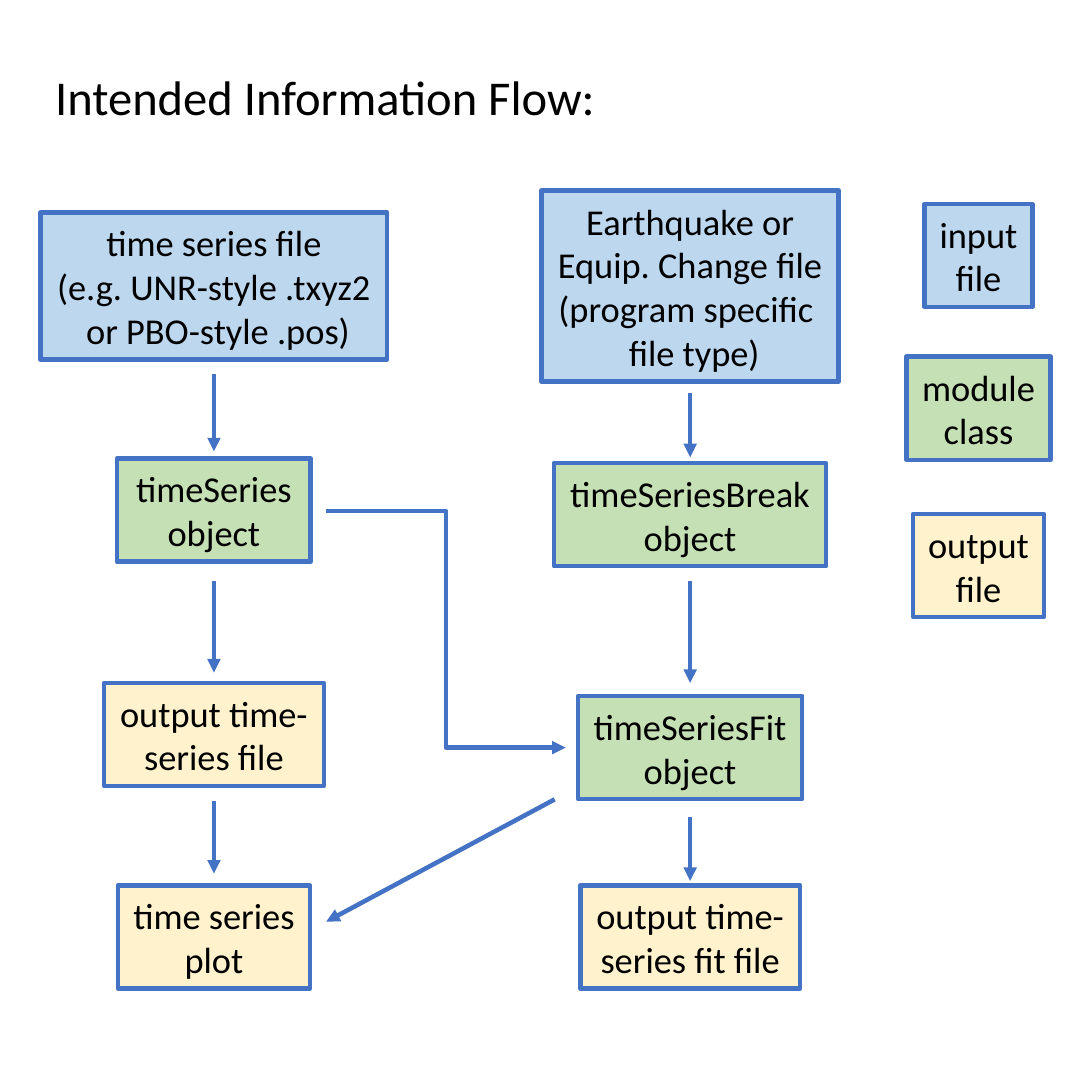
from lxml import etree
from pptx import Presentation
from pptx.dml.color import RGBColor
from pptx.enum.shapes import MSO_CONNECTOR, MSO_SHAPE
from pptx.enum.text import MSO_AUTO_SIZE, PP_ALIGN
from pptx.oxml.ns import qn
from pptx.util import Pt

RECT = MSO_SHAPE.RECTANGLE
STRAIGHT = MSO_CONNECTOR.STRAIGHT
ELBOW = MSO_CONNECTOR.ELBOW
CENTER = PP_ALIGN.CENTER
LEFT = PP_ALIGN.LEFT
FIT = MSO_AUTO_SIZE.SHAPE_TO_FIT_TEXT

BLACK = RGBColor(0x00, 0x00, 0x00)
BLUE = RGBColor(0x44, 0x72, 0xC4)
INPUT = RGBColor(0xBD, 0xD7, 0xEE)
MODULE = RGBColor(0xC5, 0xE0, 0xB4)
OUTPUT = RGBColor(0xFF, 0xF2, 0xCC)

SERIES_X, FIT_X, LEGEND_X = 105.8, 341.3, 483.9

BOXES = [
    (SERIES_X, 105.1, 171.4, INPUT,
     ["time series file", "(e.g. UNR-style .txyz2", " or PBO-style .pos)"]),
    (SERIES_X, 226.8, 95.8, MODULE, ["timeSeries", "object"]),
    (SERIES_X, 337.7, 108.7, OUTPUT, ["output time-", "series file"]),
    (SERIES_X, 437.8, 95, OUTPUT, ["time series", "plot"]),
    (FIT_X, 94.3, 146.9, INPUT,
     ["Earthquake or", "Equip. Change file", "(program specific ", " file type)"]),
    (FIT_X, 229, 134.6, MODULE, ["timeSeriesBreak", "object"]),
    (FIT_X, 344.2, 110.9, MODULE, ["timeSeriesFit", "object"]),
    (FIT_X, 437.8, 108.7, OUTPUT, ["output time-", "series fit file"]),
    (LEGEND_X, 100.8, 53.3, INPUT, ["input", "file"]),
    (LEGEND_X, 176.4, 71.3, MODULE, ["module", "class"]),
    (LEGEND_X, 254.2, 64.8, OUTPUT, ["output", "file"]),
]

DOWN_ARROWS = [
    (SERIES_X, 185, 223.2),
    (SERIES_X, 287.3, 332.6),
    (SERIES_X, 396, 432),
    (FIT_X, 194.4, 226.1),
    (FIT_X, 287.3, 337.7),
    (FIT_X, 403.9, 435.6),
]


class FlowSlide:
    font = "Calibri"
    line_width = 2.25
    text_size = 18
    title_size = 24
    line_height = 21.7
    box_padding = 7.6

    def __init__(self, prs):
        self.shapes = prs.slides.add_slide(prs.slide_layouts[6]).shapes

    def outline(self, sp):
        sp.line.color.rgb = BLUE
        sp.line.width = Pt(self.line_width)

    def add_text(self, sp, lines, size, align):
        tf = sp.text_frame
        tf.word_wrap = False
        tf.auto_size = FIT
        for i, text in enumerate(lines):
            p = tf.add_paragraph() if i else tf.paragraphs[0]
            p.alignment = align
            r = p.add_run()
            r.text = text
            r.font.name = self.font
            r.font.size = Pt(size)
            r.font.color.rgb = BLACK

    def title(self, text, x, y, w, h):
        sp = self.shapes.add_textbox(Pt(x), Pt(y), Pt(w), Pt(h))
        self.add_text(sp, [text], self.title_size, LEFT)

    def box(self, center, top, width, fill, lines):
        height = self.box_padding + self.line_height * len(lines)
        sp = self.shapes.add_shape(
            RECT, Pt(center - width / 2), Pt(top), Pt(width), Pt(height))
        sp.shadow.inherit = False
        sp.fill.solid()
        sp.fill.fore_color.rgb = fill
        self.outline(sp)
        self.add_text(sp, lines, self.text_size, CENTER)

    def arrow(self, x1, y1, x2, y2, kind=STRAIGHT):
        sp = self.shapes.add_connector(kind, Pt(x1), Pt(y1), Pt(x2), Pt(y2))
        self.outline(sp)
        props = sp.element.spPr
        etree.SubElement(props.find(qn("a:ln")), qn("a:tailEnd"), type="triangle")
        etree.SubElement(props, qn("a:effectLst"))


def main():
    prs = Presentation()
    prs.slide_width = prs.slide_height = Pt(540)
    s = FlowSlide(prs)
    s.title("Intended Information Flow:", 20.2, 29.5, 289.4, 36)
    for box in BOXES:
        s.box(*box)
    for x, top, bottom in DOWN_ARROWS:
        s.arrow(x, top, x, bottom)
    s.arrow(161.3, 252.7, 279.7, 369.7, ELBOW)
    s.arrow(274.3, 395.3, 161.3, 455.8)
    prs.save("out.pptx")


if __name__ == "__main__":
    main()
